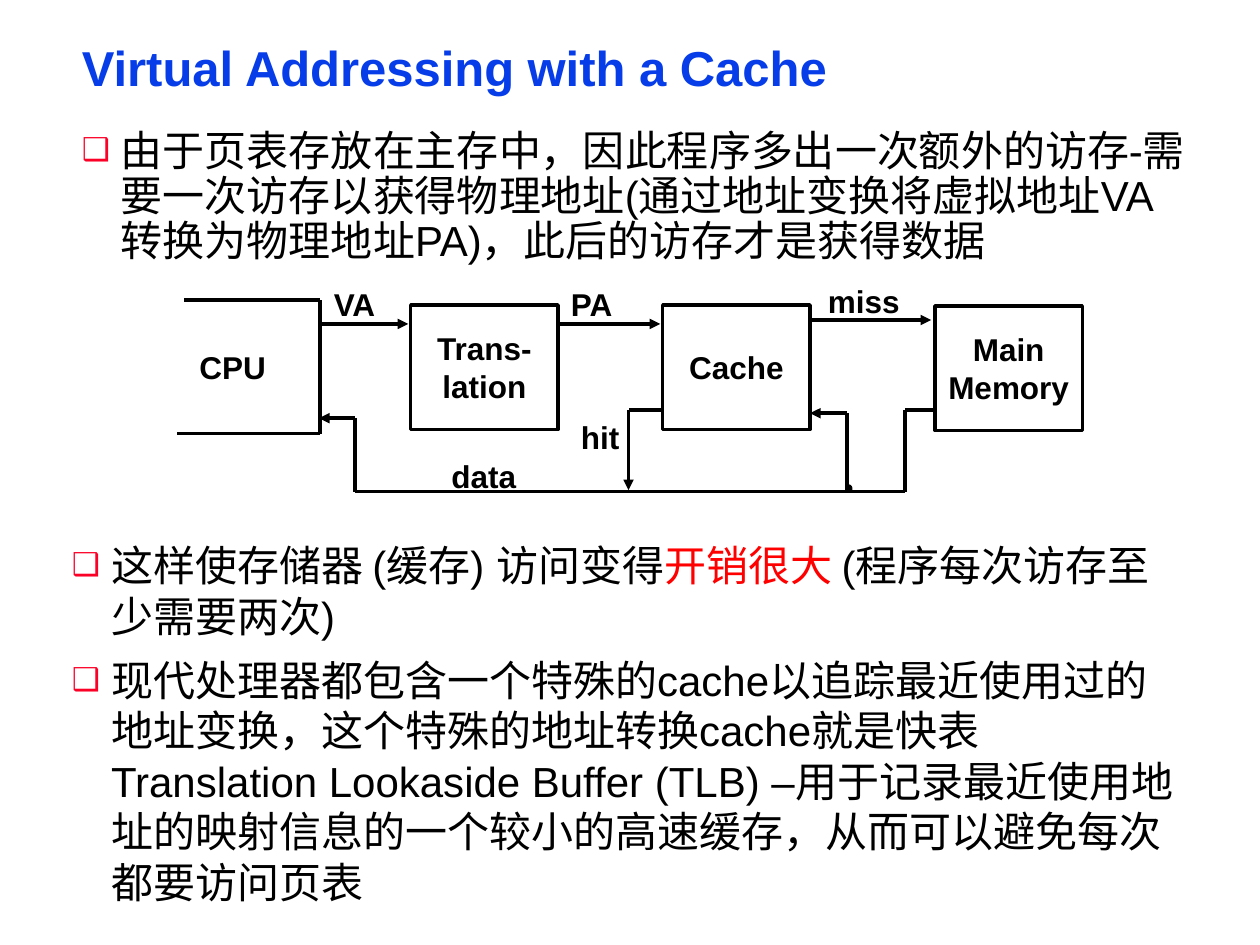
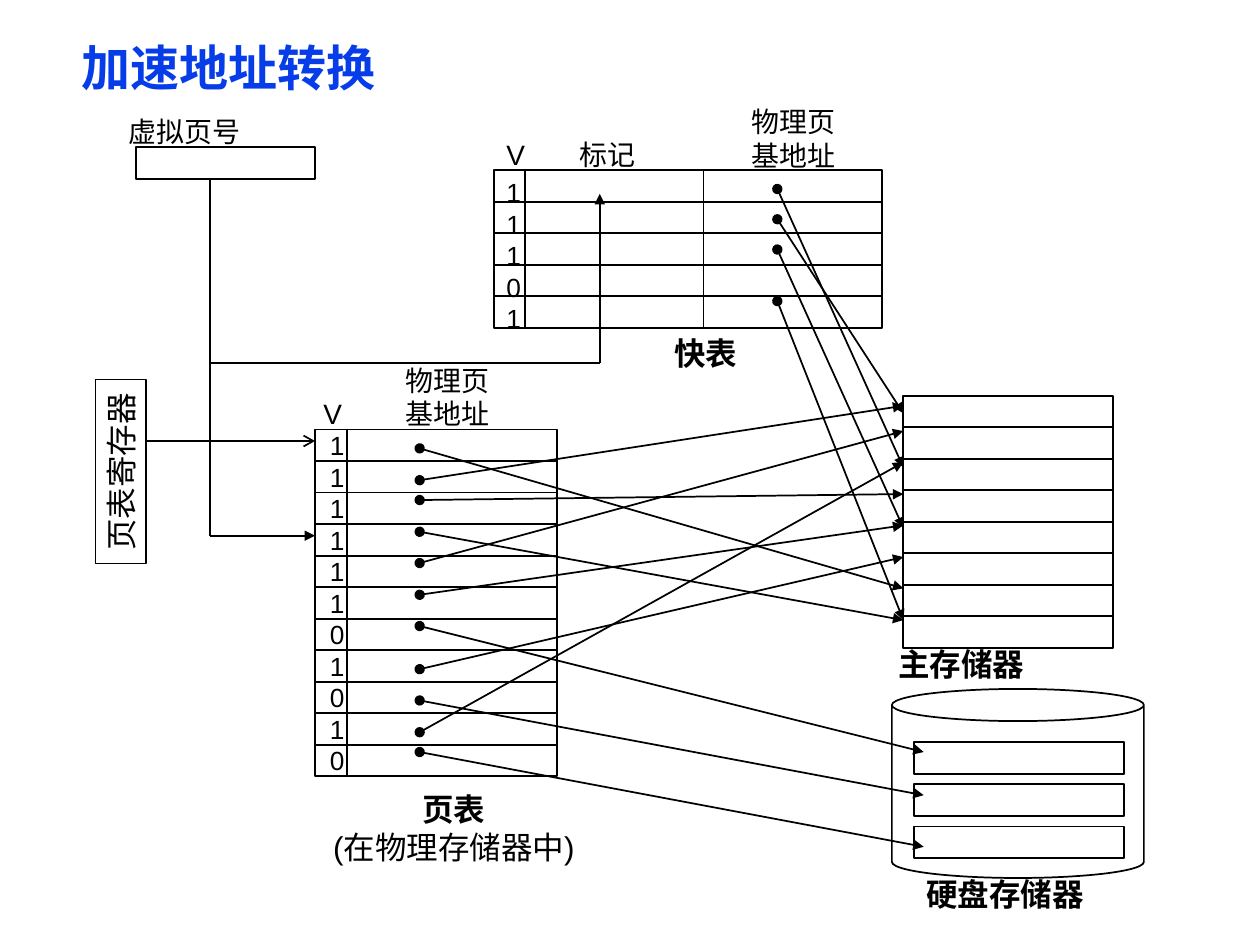
from itertools import pairwise

from lxml import etree
from pptx import Presentation
from pptx.dml.color import RGBColor
from pptx.enum.shapes import MSO_CONNECTOR, MSO_SHAPE
from pptx.enum.text import MSO_ANCHOR, MSO_AUTO_SIZE, PP_ALIGN
from pptx.oxml.ns import qn
from pptx.util import Cm, Pt

LEFT, CENTER = PP_ALIGN.LEFT, PP_ALIGN.CENTER
TOP, MIDDLE = MSO_ANCHOR.TOP, MSO_ANCHOR.MIDDLE
FIXED = MSO_AUTO_SIZE.NONE
RECT, OVAL, CAN = MSO_SHAPE.RECTANGLE, MSO_SHAPE.OVAL, MSO_SHAPE.CAN
STRAIGHT = MSO_CONNECTOR.STRAIGHT

BLACK = RGBColor(0x00, 0x00, 0x00)
BLUE = RGBColor(0x06, 0x3D, 0xE8)
RED = RGBColor(0xFF, 0x00, 0x00)
MARK = RGBColor(0xFC, 0x01, 0x28)

FONT = "Arial"
WIDE = (0.25, 0.13)
TIGHT = (0.18, 0.08)
TITLE = (1.47, 0.84, 22.66, 1.17)

CACHE = {
    "title": "Virtual Addressing with a Cache",
    "intro": ["由于页表存放在主存中，因此程序多出一次额外的访存-需要一次访存以获得物理地址"
              "(通过地址变换将虚拟地址VA转换为物理地址PA)，此后的访存才是获得数据"],
    "notes": [
        ["这样使存储器 (缓存) 访问变得", ("开销很大 ", {"color": RED}), "(程序每次访存至少需要两次)"],
        "现代处理器都包含一个特殊的cache以追踪最近使用过的地址变换，这个特殊的地址转换cache就是快表"
        "Translation Lookaside Buffer (TLB) –用于记录最近使用地址的映射信息的一个较小的高速缓存，"
        "从而可以避免每次都要访问页表",
    ],
    "units": [
        (["Trans-", "lation"], 8.28, 6.15),
        (["Cache"], 13.36, 6.15),
        (["Main", "Memory"], 18.85, 6.17),
    ],
    "labels": [
        ("CPU", 3.84, 7.06, 1.7),
        ("VA", 6.55, 5.79, 1.24),
        ("PA", 11.33, 5.79, 1.24),
        ("miss", 16.51, 5.72, 1.8),
        ("hit", 11.53, 8.46, 1.12),
        ("data", 8.92, 9.25, 1.65),
    ],
    "frame": [(3.71, 6.05), (6.45, 6.05), (6.45, 8.74), (3.56, 8.74)],
    "flows": [
        [(6.5, 6.53), (8.23, 6.53)],
        [(11.25, 6.53), (13.31, 6.53)],
        [(16.36, 6.45), (18.77, 6.45)],
        [(18.85, 8.26), (18.24, 8.26), (18.24, 9.91),
         (7.16, 9.91), (7.16, 8.43), (6.43, 8.43)],
        [(17.07, 9.91), (17.07, 8.33), (16.33, 8.33)],
        [(13.36, 8.26), (12.67, 8.26), (12.67, 9.88)],
    ],
}

BASE = ["物理页", "基地址"]
SPEED = {
    "title": "加速地址转换",
    "grids": [
        ((6.35, 8.66, 4.88, 6.99), 11, [6.99]),
        ((18.21, 7.98, 4.23, 5.08), 8, []),
        ((9.96, 3.43, 7.82, 3.18), 5, [10.59, 14.18]),
    ],
    "valid": [
        ("11111101010", (6.4, 8.53, 0.81, 7.24)),
        ("11101", (9.96, 3.43, 0.81, 3.43)),
    ],
    "heads": [
        (["虚拟页号"], (2.34, 2.18, 2.79, 0.94)),
        (["V"], (6.27, 7.87, 0.89, 0.94)),
        (["V"], (9.96, 2.64, 0.89, 0.94)),
        (["标记"], (11.43, 2.64, 1.65, 0.94)),
        (BASE, (7.9, 7.19, 2.24, 1.63)),
        (BASE, (14.88, 1.98, 2.24, 1.63)),
    ],
    "names": [
        (["快表"], (13.34, 6.6, 1.8, 1.02)),
        (["主存储器"], (17.86, 12.88, 3.1, 1.02)),
        (["硬盘存储器"], (18.42, 17.5, 3.73, 1.02)),
        (["页表", [("(在物理存储器中)", {"bold": False})]], (6.43, 15.8, 5.44, 1.8)),
    ],
    "maps": [
        (8.46, 18.21, [(9.04, 11.86), (9.68, 8.18), (10.08, 9.96), (10.72, 12.5),
                       (11.35, 8.69), (11.99, 10.59), (13.49, 11.23), (14.76, 9.32)]),
        (8.46, 18.62, [(12.62, 15.16), (14.12, 16.03), (15.16, 17.07)]),
        (15.67, 18.21, [(3.81, 9.42), (4.42, 8.33), (5.03, 10.64), (6.07, 12.5)]),
    ],
    "paths": [
        ([(4.24, 3.61), (4.24, 10.8), (6.35, 10.8)], "triangle"),
        ([(4.24, 7.32), (12.09, 7.32), (12.09, 3.91)], "triangle"),
        ([(2.97, 8.89), (6.35, 8.89)], "arrow"),
    ],
}


def lens(vals):
    return [Cm(v) for v in vals]


def add_mark(par):
    props = par._p.get_or_add_pPr()
    props.set("marL", str(Cm(0.79)))
    props.set("indent", str(-Cm(0.79)))
    tint = etree.SubElement(props, qn("a:buClr"))
    etree.SubElement(tint, qn("a:srgbClr"), val=str(MARK))
    etree.SubElement(props, qn("a:buSzPct"), val="75000")
    etree.SubElement(props, qn("a:buFont"), typeface=FONT)
    etree.SubElement(props, qn("a:buChar"), char="❑")


def write(frame, lines, size=18, bold=False, color=BLACK, align=LEFT, lead=None,
          gap=0, inset=WIDE, anchor=TOP, wrap=False, mark=False):
    frame.auto_size = FIXED
    frame.word_wrap = wrap
    frame.vertical_anchor = anchor
    frame.margin_left = frame.margin_right = Cm(inset[0])
    frame.margin_top = frame.margin_bottom = Cm(inset[1])
    for i, line in enumerate(lines):
        par = frame.add_paragraph() if i else frame.paragraphs[0]
        if mark:
            add_mark(par)
        par.alignment = align
        par.line_spacing = lead
        if i and gap:
            par.space_before = Pt(gap)
        for part in [line] if isinstance(line, str) else line:
            words, style = (part, {}) if isinstance(part, str) else part
            run = par.add_run()
            run.text = words
            run.font.name = FONT
            run.font.size = Pt(size)
            run.font.bold = style.get("bold", bold)
            run.font.color.rgb = style.get("color", color)


def label(slide, lines, box, **form):
    write(slide.shapes.add_textbox(*lens(box)).text_frame, lines, **form)


def draw(slide, kind, box, width=1, fill=None):
    shape = slide.shapes.add_shape(kind, *lens(box))
    shape.shadow.inherit = False
    if fill is None:
        shape.fill.background()
    else:
        shape.fill.solid()
        shape.fill.fore_color.rgb = fill
    shape.line.color.rgb = BLACK
    shape.line.width = Pt(width)
    return shape


def link(slide, start, end, width=1, head=None, tail=None):
    line = slide.shapes.add_connector(STRAIGHT, *lens(start + end))
    line.line.color.rgb = BLACK
    line.line.width = Pt(width)
    stroke = line.line._get_or_add_ln()
    for tag, tip in (("a:headEnd", head), ("a:tailEnd", tail)):
        if tip:
            etree.SubElement(stroke, qn(tag), type=tip)
    etree.SubElement(line._element.spPr, qn("a:effectLst"))


def trace(slide, points, width=1, tail=None):
    pairs = list(pairwise(points))
    for i, (start, end) in enumerate(pairs, 1):
        link(slide, start, end, width, tail=tail if i == len(pairs) else None)


def grid(slide, box, rows, cols):
    x, y, w, h = box
    draw(slide, RECT, box)
    for i in range(1, rows):
        level = y + h * i / rows
        link(slide, (x, level), (x + w, level))
    for col in cols:
        link(slide, (col, y), (col, y + h))


def start(deck, title):
    slide = deck.slides.add_slide(deck.slide_layouts[5])
    head = slide.shapes.title
    head.left, head.top, head.width, head.height = lens(TITLE)
    write(head.text_frame, [title], size=28, bold=True, color=BLUE, lead=0.87,
          inset=TIGHT, anchor=MIDDLE, wrap=True)
    return slide


def cache_slide(deck):
    slide = start(deck, CACHE["title"])
    body = dict(size=24, inset=TIGHT, wrap=True, mark=True)
    label(slide, CACHE["intro"], (1.47, 2.54, 22.66, 2.92), lead=0.9, **body)
    label(slide, CACHE["notes"], (1.27, 10.8, 22.66, 7.62), gap=8, **body)
    trace(slide, CACHE["frame"], 2)
    for lines, x, y in CACHE["units"]:
        unit = draw(slide, RECT, (x, y, 2.97, 2.51), 2)
        write(unit.text_frame, lines, bold=True, align=CENTER, anchor=MIDDLE)
    for points in CACHE["flows"]:
        trace(slide, points, 2, "triangle")
    draw(slide, OVAL, (17.07, 9.8, 0.08, 0.1), 2, MARK)
    for word, x, y, w in CACHE["labels"]:
        label(slide, [word], (x, y, w, 0.79), bold=True, lead=0.85, inset=TIGHT)


def speed_slide(deck):
    slide = start(deck, SPEED["title"])
    for box, rows, cols in SPEED["grids"]:
        grid(slide, box, rows, cols)
    draw(slide, CAN, (17.98, 13.89, 5.08, 3.81)).adjustments[0] = 0.17
    for i in range(3):
        draw(slide, RECT, (18.42, 14.96 + 0.85 * i, 4.24, 0.64))
    draw(slide, RECT, (2.74, 2.97, 3.61, 0.64))
    store = draw(slide, RECT, (0.58, 8.99, 3.71, 1.02), 0.75)
    store.rotation = 270
    write(store.text_frame, ["页表寄存器"])
    for bits, box in SPEED["valid"]:
        label(slide, list(bits), box, size=15, lead=Pt(18))
    for lines, box in SPEED["heads"]:
        label(slide, lines, box, size=16, align=CENTER if lines is BASE else LEFT)
    for lines, box in SPEED["names"]:
        many = len(lines) > 1
        label(slide, lines, box, bold=True, wrap=many, align=CENTER if many else LEFT)
    for left, right, rows in SPEED["maps"]:
        for y, goal in rows:
            link(slide, (left, y), (right, goal), head="oval", tail="triangle")
    for points, tip in SPEED["paths"]:
        trace(slide, points, tail=tip)


def main():
    deck = Presentation()
    deck.slide_width, deck.slide_height = lens((25.4, 19.05))
    cache_slide(deck)
    speed_slide(deck)
    deck.save("out.pptx")


if __name__ == "__main__":
    main()
